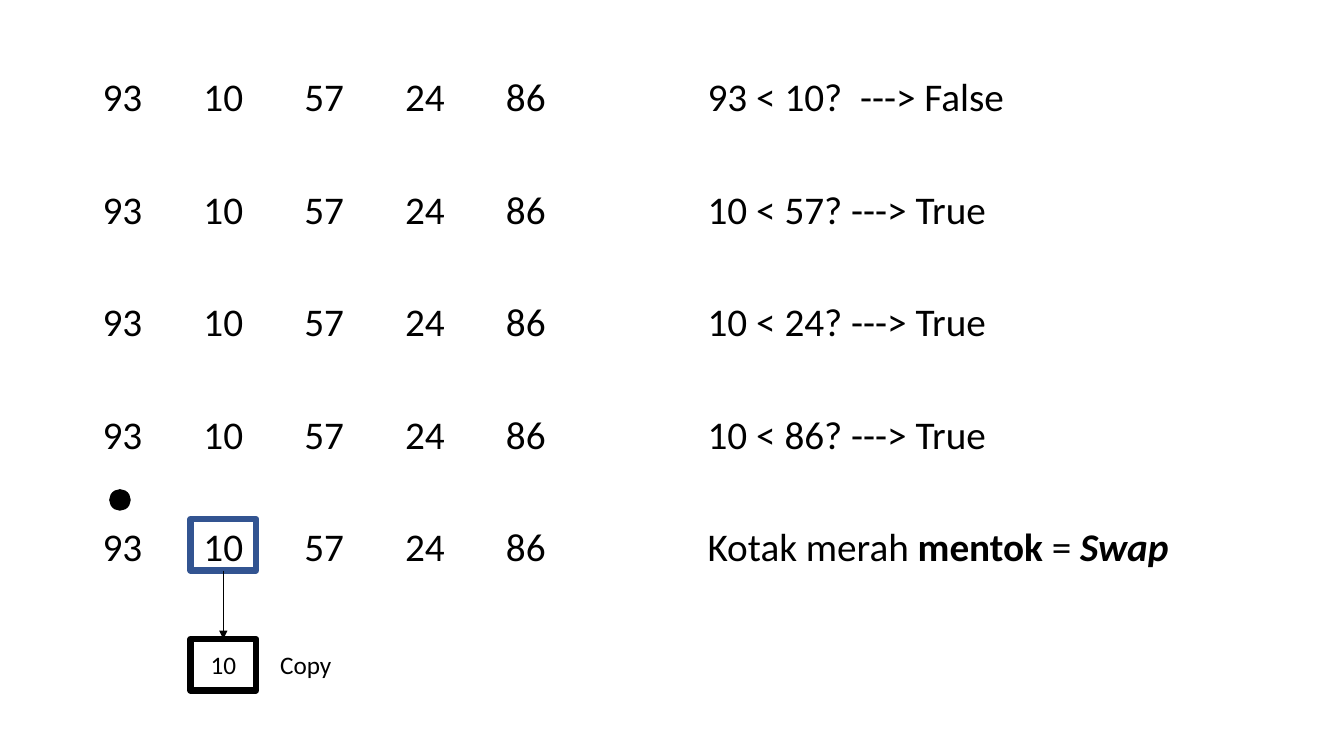
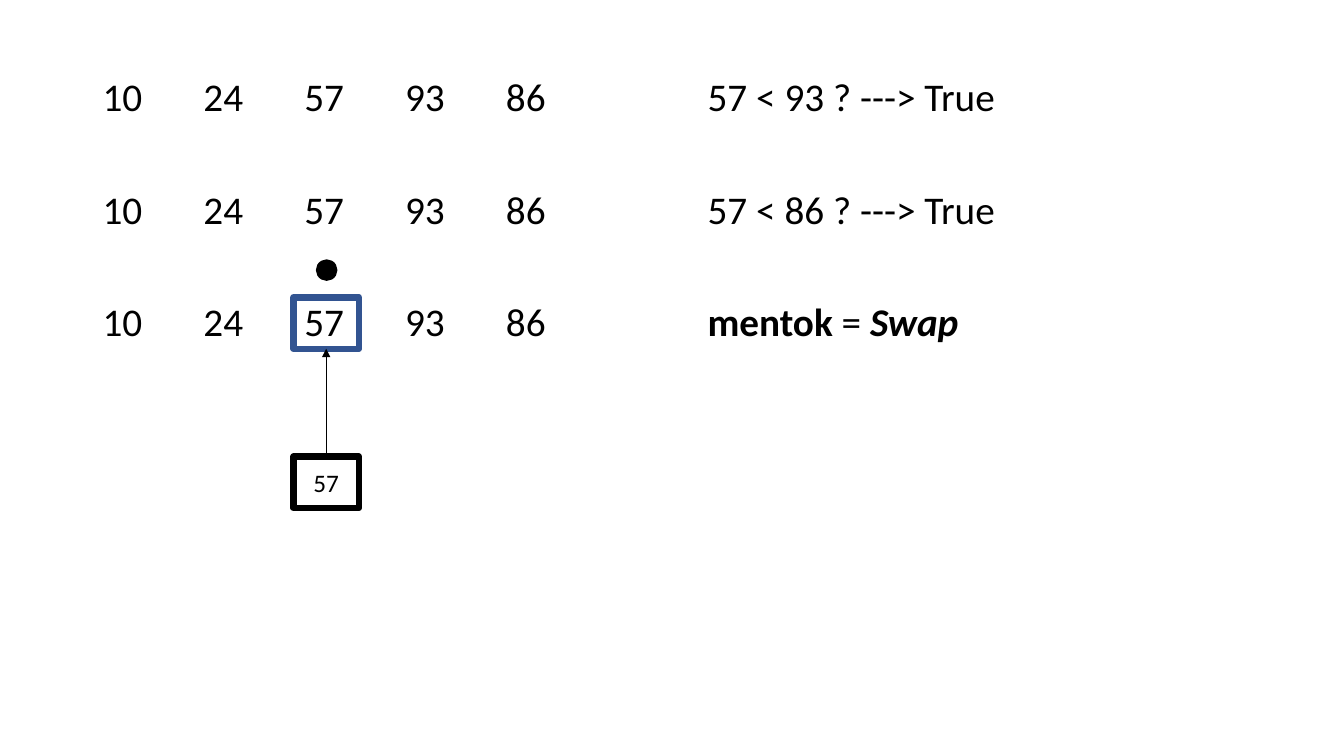
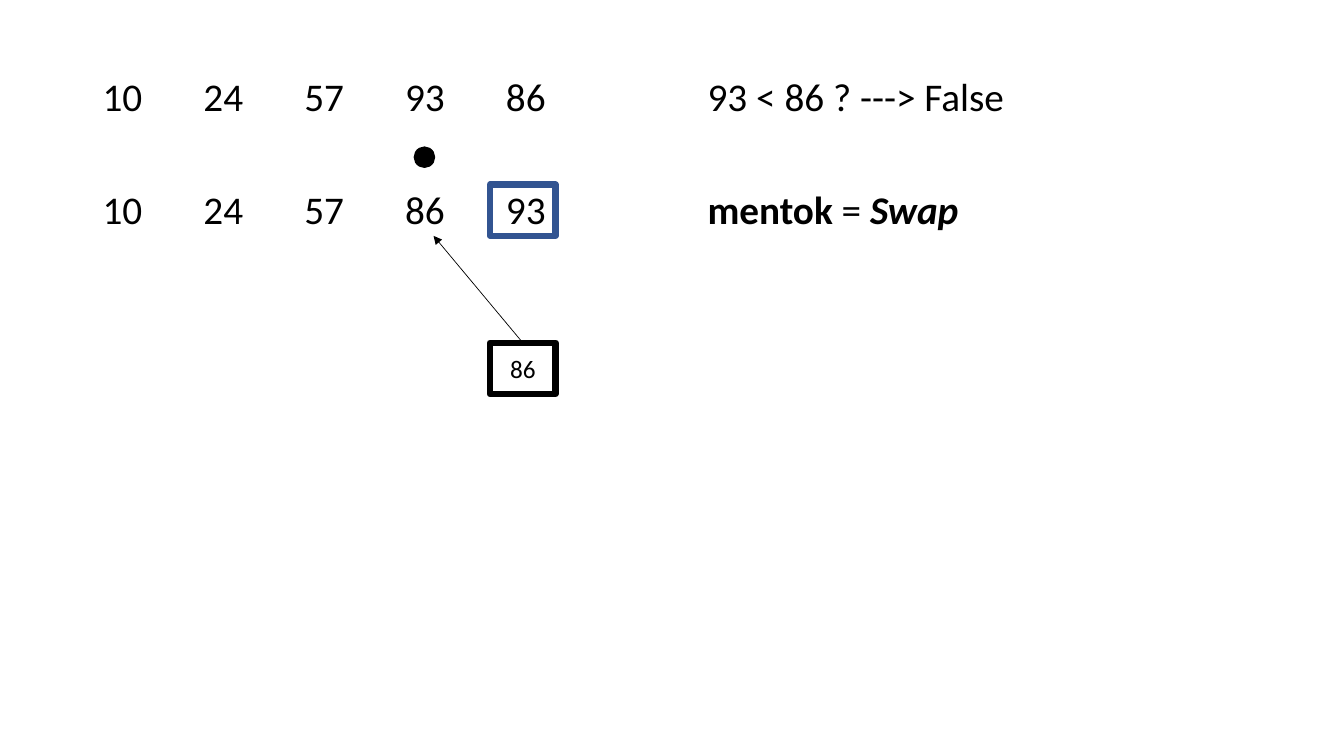
from dataclasses import dataclass

from lxml.etree import SubElement
from pptx import Presentation
from pptx.dml.color import RGBColor as Rgb
from pptx.enum.shapes import MSO_CONNECTOR as Connector
from pptx.enum.shapes import MSO_SHAPE as Shape
from pptx.enum.text import MSO_ANCHOR as Anchor
from pptx.enum.text import PP_ALIGN as Align
from pptx.oxml.ns import qn
from pptx.util import Inches, Pt


@dataclass(frozen=True)
class Theme:
    """Colours, type sizes and measures shared by the slides."""
    font: str = "Calibri"
    ink: Rgb = Rgb(0x00, 0x00, 0x00)
    current: Rgb = Rgb(0x32, 0x54, 0x91)
    row_size: float = 28
    label_size: float = 18
    row_gap: float = 50.2
    line_spacing: float = 0.9
    column: float = 1
    box_width: float = 0.65
    box_height: float = 0.51
    box_line: float = 4.5
    dot: float = 0.2


THEME = Theme()
SWAP = [("mentok", True, False), (" = ", False, False), ("Swap", True, True)]


def add_run(paragraph, text, size, bold=False, italic=False):
    """Append one styled run to a paragraph."""
    font_run = paragraph.add_run()
    font_run.text = text
    font = font_run.font
    font.name, font.size, font.color.rgb = THEME.font, Pt(size), THEME.ink
    font.bold, font.italic = bold, italic


def set_columns(paragraph):
    """Give a paragraph evenly spaced tab stops."""
    stops = SubElement(paragraph._p.get_or_add_pPr(), qn("a:tabLst"))
    for column in range(1, 7):
        position = Inches(column * THEME.column)
        SubElement(stops, qn("a:tab"), pos=str(position), algn="l")


def add_rows(slide, rows):
    """Write each sorting step: its numbers, then its verdict runs."""
    frame = slide.shapes.add_textbox(
        Inches(0.92), Inches(0.72), Inches(11.5), Inches(6.03)).text_frame
    frame.word_wrap = True
    for index, (numbers, verdict) in enumerate(rows):
        step = frame.add_paragraph() if index else frame.paragraphs[0]
        step.line_spacing = THEME.line_spacing
        step.space_before = Pt(THEME.row_gap if index else 0)
        set_columns(step)
        add_run(step, "\t".join(numbers.split()) + "\t\t", THEME.row_size)
        for text, bold, italic in verdict:
            add_run(step, text, THEME.row_size, bold, italic)


def add_pivot(slide, left, top):
    """Draw the dot above the number being replaced."""
    pivot = slide.shapes.add_shape(
        Shape.OVAL, Inches(left), Inches(top), Inches(THEME.dot), Inches(THEME.dot))
    pivot.shadow.inherit = False
    pivot.fill.solid()
    pivot.fill.fore_color.rgb = pivot.line.color.rgb = THEME.ink
    pivot.line.width = Pt(1)


def add_box(slide, left, top, color, number=""):
    """Draw an outlined box, with a centred number if one is given."""
    box = slide.shapes.add_shape(
        Shape.RECTANGLE, Inches(left), Inches(top),
        Inches(THEME.box_width), Inches(THEME.box_height))
    box.shadow.inherit = False
    box.fill.background()
    box.line.color.rgb = color
    box.line.width = Pt(THEME.box_line)
    if number:
        box.text_frame.vertical_anchor = Anchor.MIDDLE
        value = box.text_frame.paragraphs[0]
        value.alignment = Align.CENTER
        add_run(value, number, THEME.label_size)


def add_arrow(slide, start, end):
    """Draw a thin arrow between two points."""
    arrow = slide.shapes.add_connector(
        Connector.STRAIGHT, *(Inches(value) for value in (*start, *end)))
    arrow.line.color.rgb = THEME.ink
    arrow.line.width = Pt(0.5)
    SubElement(arrow.line._get_or_add_ln(), qn("a:tailEnd"), type="triangle")
    SubElement(arrow._element.spPr, qn("a:effectLst"))


def add_label(slide, left, top, text):
    """Write a small one-line label."""
    frame = slide.shapes.add_textbox(
        Inches(left), Inches(top), Inches(0.72), Inches(0.4)).text_frame
    frame.word_wrap = False
    add_run(frame.paragraphs[0], text, THEME.label_size)


def add_pass(deck, rows, pivot, left, current_top, copy_top, number):
    """Build one sorting pass and return its slide and the arrow's ends."""
    slide = deck.slides.add_slide(deck.slide_layouts[6])
    add_rows(slide, rows)
    add_pivot(slide, *pivot)
    add_box(slide, left, current_top, THEME.current)
    add_box(slide, left, copy_top, THEME.ink, number)
    middle = left + THEME.box_width / 2
    return slide, (middle, current_top + THEME.box_height), (middle, copy_top)


def compare(numbers, *questions):
    """Pair the same numbers with each plain question."""
    return [(numbers, [(question, False, False)]) for question in questions]


def main():
    """Build the three sorting passes."""
    deck = Presentation()
    deck.slide_width, deck.slide_height = Inches(13.33), Inches(7.5)

    numbers = "93 10 57 24 86"
    rows = compare(numbers, "93 < 10?  ---> False", "10 < 57? ---> True",
                   "10 < 24? ---> True", "10 < 86? ---> True")
    rows.append((numbers, [("Kotak merah ", False, False), *SWAP]))
    slide, current, copied = add_pass(
        deck, rows, (1.09, 4.86), 1.89, 5.15, 6.34, "10")
    add_arrow(slide, current, copied)
    add_label(slide, 2.68, 6.39, "Copy")

    numbers = "10 24 57 93 86"
    rows = compare(numbers, "57 < 93 ? ---> True", "57 < 86 ? ---> True")
    rows.append((numbers, SWAP))
    slide, current, copied = add_pass(
        deck, rows, (3.14, 2.58), 2.91, 2.95, 4.53, "57")
    add_arrow(slide, copied, current)

    rows = compare(numbers, "93 < 86 ? ---> False")
    rows.append(("10 24 57 86 93", SWAP))
    slide, current, copied = add_pass(
        deck, rows, (4.11, 1.46), 4.86, 1.83, 3.4, "86")
    add_arrow(slide, copied, (4.3, current[1]))

    deck.save("out.pptx")


if __name__ == "__main__":
    main()
